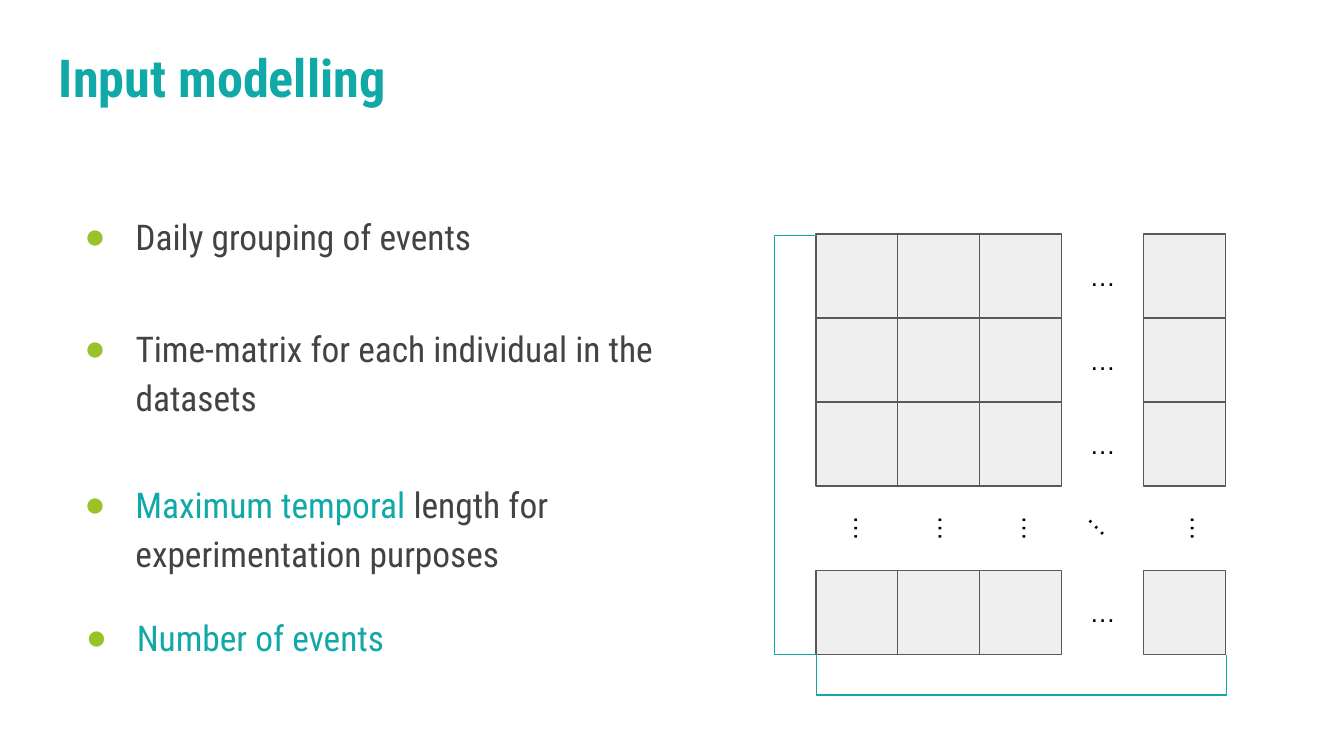
import lxml.etree
import pptx
import pptx.dml.color
import pptx.enum.shapes
import pptx.enum.text
import pptx.oxml.ns
import pptx.util

Inches = pptx.util.Inches
Pt = pptx.util.Pt
MSO_ANCHOR = pptx.enum.text.MSO_ANCHOR
PP_ALIGN = pptx.enum.text.PP_ALIGN
qn = pptx.oxml.ns.qn

COLORS = {"teal": "11A8A8", "text": "434343", "bullet": "9BC129",
          "cell": "EFEFEF", "border": "595959", "black": "000000"}
FONT = "Roboto Condensed"

TITLE = "Input modelling"
BULLETS = [
    ((0.41, 1.45, 4.96, 0.7), [("Daily grouping of events", "text")]),
    ((0.41, 2.29, 4.71, 1.04),
     [("Time-matrix for each individual in the datasets", "text")]),
    ((0.41, 3.45, 4.96, 0.87),
     [("Maximum temporal ", "teal"),
      ("length for experimentation purposes", "text")]),
    ((0.42, 4.44, 4.96, 0.87), [("Number of events", "teal")]),
]
MATRIX = ["###…#", "###…#", "###…#", "⋮⋮⋮⋱⋮", "###…#"]
DOTS_ROTATION = {"…": 0, "⋮": 90, "⋱": 45}

SLIDE_W = 10
SLIDE_H = SLIDE_W * 9 / 16
LEFT, TOP, WIDTH, HEIGHT = 6.07, 1.74, 3.05, 3.13
CELL_W, CELL_H = WIDTH / len(MATRIX[0]), HEIGHT / len(MATRIX)
BOTTOM = TOP + HEIGHT
BRACKET_DEPTH, BRACKET_STEP = 0.31, 0.01


def rgb(name):
    return pptx.dml.color.RGBColor.from_string(COLORS[name])


def add_bullet(p):
    pPr = p._p.get_or_add_pPr()
    pPr.set("marL", str(Inches(0.5)))
    pPr.set("indent", str(Inches(-0.38)))
    clr = lxml.etree.SubElement(pPr, qn("a:buClr"))
    lxml.etree.SubElement(clr, qn("a:srgbClr"), val=COLORS["bullet"])
    lxml.etree.SubElement(pPr, qn("a:buFont"), typeface="Arial")
    lxml.etree.SubElement(pPr, qn("a:buChar"), char="●")
    p.line_spacing = 1.15


def add_text(s, box, runs, size, font=FONT, bold=False, bullet=False,
             align=PP_ALIGN.LEFT, anchor=MSO_ANCHOR.TOP, rotation=0):
    sp = s.shapes.add_textbox(*map(Inches, box))
    sp.rotation = rotation
    tf = sp.text_frame
    tf.word_wrap = True
    tf.vertical_anchor = anchor
    tf.margin_left = tf.margin_right = Inches(0.1)
    tf.margin_top = tf.margin_bottom = Inches(0.1)
    p = tf.paragraphs[0]
    if bullet:
        add_bullet(p)
    p.alignment = align
    for text, color in runs:
        r = p.add_run()
        r.text = text
        r.font.name = font
        r.font.size = Pt(size)
        r.font.bold = bold
        r.font.color.rgb = rgb(color)


def add_cell(s, box):
    sp = s.shapes.add_shape(pptx.enum.shapes.MSO_SHAPE.RECTANGLE,
                            *map(Inches, box))
    sp.shadow.inherit = False
    sp.fill.solid()
    sp.fill.fore_color.rgb = rgb("cell")
    sp.line.color.rgb = rgb("border")
    sp.line.width = Pt(0.75)


def add_bracket(s, begin, end, depth, rotation=0):
    cxn = s.shapes.add_connector(pptx.enum.shapes.MSO_CONNECTOR.ELBOW,
                                 *map(Inches, begin + end))
    cxn.line.color.rgb = rgb("teal")
    cxn.line.width = Pt(0.75)
    spPr = cxn._element.spPr
    lxml.etree.SubElement(spPr, qn("a:effectLst"))
    spPr.find(qn("a:xfrm")).set("rot", str(rotation * 60000))
    geom = spPr.find(qn("a:prstGeom"))
    for old in geom.findall(qn("a:avLst")):
        geom.remove(old)
    guides = lxml.etree.SubElement(geom, qn("a:avLst"))
    share = round(depth / BRACKET_STEP * 100000)
    lxml.etree.SubElement(guides, qn("a:gd"), name="adj1",
                          fmla=f"val {share}")


def main():
    prs = pptx.Presentation()
    prs.slide_width, prs.slide_height = Inches(SLIDE_W), Inches(SLIDE_H)
    s = prs.slides.add_slide(prs.slide_layouts[6])

    add_text(s, (0.34, 0.24, 9.32, 0.63), [(TITLE, "teal")], 28, bold=True)
    for row, marks in enumerate(MATRIX):
        for col, mark in enumerate(marks):
            x, y = LEFT + col * CELL_W, TOP + row * CELL_H
            if mark == "#":
                add_cell(s, (x, y, CELL_W, CELL_H))
                continue
            if mark == "⋮":
                x = LEFT + 0.06 + col * CELL_H
            elif mark == "⋱":
                y -= 0.05
            add_text(s, (x, y, CELL_W, CELL_H), [("…", "black")], 14,
                     font="Arial", align=PP_ALIGN.CENTER,
                     anchor=MSO_ANCHOR.MIDDLE, rotation=DOTS_ROTATION[mark])

    middle = LEFT + WIDTH / 2
    add_bracket(s, (middle + BRACKET_STEP, BOTTOM - WIDTH / 2),
                (middle, BOTTOM + WIDTH / 2), BRACKET_DEPTH, rotation=270)
    add_bracket(s, (LEFT, TOP + 0.01), (LEFT + BRACKET_STEP, BOTTOM),
                -BRACKET_DEPTH)

    for box, runs in BULLETS:
        add_text(s, box, runs, 19, bullet=True)

    prs.save("out.pptx")


if __name__ == "__main__":
    main()
